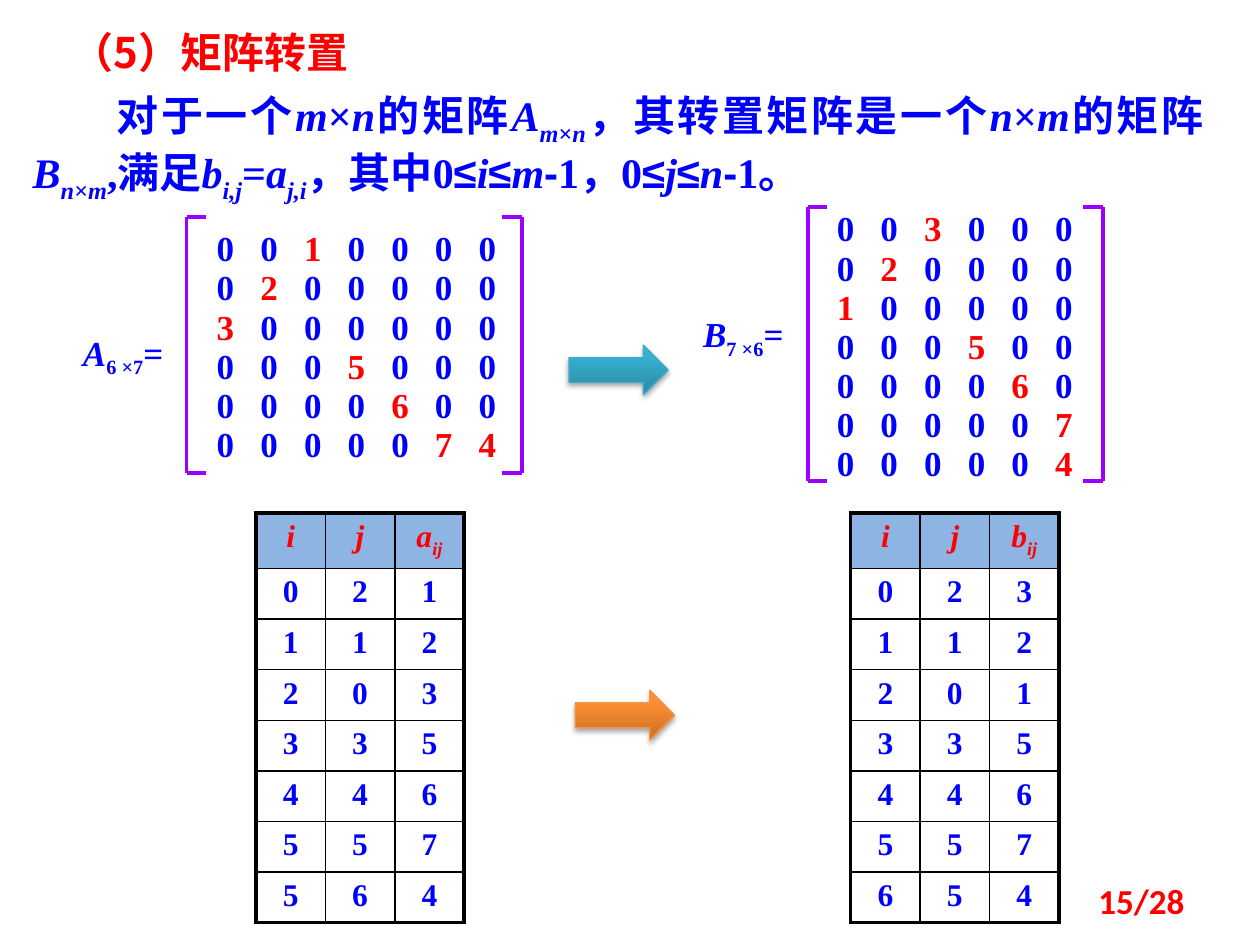
from lxml.etree import SubElement
from pptx import Presentation
from pptx.dml.color import RGBColor
from pptx.enum.shapes import MSO_CONNECTOR, MSO_SHAPE
from pptx.enum.text import MSO_ANCHOR, PP_ALIGN
from pptx.oxml.ns import qn
from pptx.util import Cm, Pt

COLORS = {"blue": "0000FF", "red": "FF0000", "purple": "9900FF", "black": "000000",
          "header": "8EB4E3"}
SERIF, CJK = "Times New Roman", "Noto Sans CJK SC"


def add_box(x, y, w, h, margins=True):
    """Add a wrapping text box and return its text frame."""
    tf = s.shapes.add_textbox(Cm(x), Cm(y), Cm(w), Cm(h)).text_frame
    tf.word_wrap = True
    if not margins:
        tf.margin_left = tf.margin_right = tf.margin_top = tf.margin_bottom = 0
    return tf


def write(p, runs, size, color="blue", font=SERIF, align=PP_ALIGN.LEFT):
    """Fill p with (text, style) runs: i italic, s subscript, a Arial, r red."""
    p.alignment = align
    p.font.size, p.font.bold, p.font.name = Pt(size), True, font
    p.font.color.rgb = RGBColor.from_string(COLORS[color])
    SubElement(p._p.pPr.find(qn("a:defRPr")), qn("a:ea"), typeface=CJK)
    for text, style in runs:
        r = p.add_run()
        r.text = text
        if "i" in style:
            r.font.italic = True
        if "a" in style:
            r.font.name = "Arial"
        if "r" in style:
            r.font.color.rgb = RGBColor.from_string(COLORS["red"])
        if "s" in style:
            r._r.get_or_add_rPr().set("baseline", "-25000")


prs = Presentation()
prs.slide_width, prs.slide_height = Cm(25.4), Cm(19.05)
s = prs.slides.add_slide(prs.slide_layouts[6])

# Title
p = add_box(0.99, 0.41, 7.01, 1.27).paragraphs[0]
write(p, [("（5）矩阵转置", "")], 24, "red", CJK, PP_ALIGN.JUSTIFY)
p._p.pPr.set("indent", str(Cm(0.2)))

# Definition
definition = [
    ("对于一个", ""), ("m", "i"), ("×", ""), ("n", "i"), ("的矩阵", ""),
    ("A", "i"), ("m", "is"), ("×", "s"), ("n", "is"), ("，其转置矩阵是一个", ""),
    ("n", "i"), ("×", ""), ("m", "i"), ("的矩阵", ""),
    ("B", "i"), ("n", "is"), ("×", "s"), ("m", "is"), (",满足", ""),
    ("b", "i"), ("i,j", "is"), ("=", ""), ("a", "i"), ("j,i", "is"),
    ("，其中0", ""), ("≤", "a"), ("i", "i"), ("≤", "a"), ("m", "i"), ("-", "a"),
    ("1，0", ""), ("≤", "a"), ("j", "i"), ("≤", "a"), ("n", "i"), ("-", "a"), ("1。", ""),
]
p = add_box(0.41, 1.68, 24.1, 2.31).paragraphs[0]
write(p, definition, 24, align=PP_ALIGN.JUSTIFY)
p._p.pPr.set("indent", str(Pt(48)))

# Matrices: name, size, values, label position, first row position, bracket edges
matrix_a = [
    [0, 0, 1, 0, 0, 0, 0],
    [0, 2, 0, 0, 0, 0, 0],
    [3, 0, 0, 0, 0, 0, 0],
    [0, 0, 0, 5, 0, 0, 0],
    [0, 0, 0, 0, 6, 0, 0],
    [0, 0, 0, 0, 0, 7, 4],
]
matrix_b = list(zip(*matrix_a))
COL_STEP, ROW_STEP, TICK = 0.88, 0.79, 0.4
matrices = [
    ("A", "6 ×7", matrix_a, (1.19, 6.55), (4.37, 4.57), (3.76, 4.37, 10.52, 9.53)),
    ("B", "7 ×6", matrix_b, (13.69, 6.17), (16.87, 4.17), (16.28, 4.17, 22.23, 9.7)),
]
for name, size, values, label, (x, y), (left, top, right, bottom) in matrices:
    p = add_box(*label, 2.59, 1.12).paragraphs[0]
    write(p, [(name, "i"), (size, "s"), ("=", "")], 20, align=PP_ALIGN.CENTER)

    for i, row in enumerate(values):
        p = add_box(x, y + i * ROW_STEP, len(row) * COL_STEP, 0.86, False).paragraphs[0]
        tabs = SubElement(p._p.get_or_add_pPr(), qn("a:tabLst"))
        for j in range(1, len(row)):
            SubElement(tabs, qn("a:tab"), pos=str(Cm(j * COL_STEP)), algn="l")
        write(p, [(("\t" if j else "") + str(v), "r" if v else "")
                  for j, v in enumerate(row)], 20)

    # Brackets
    for edge, inner in ((left, left + TICK), (right, right - TICK)):
        for x1, y1, x2, y2 in ((edge, top, edge, bottom), (edge, top, inner, top),
                               (edge, bottom, inner, bottom)):
            line = s.shapes.add_connector(MSO_CONNECTOR.STRAIGHT,
                                          Cm(x1), Cm(y1), Cm(x2), Cm(y2))
            line.line.color.rgb = RGBColor.from_string(COLORS["purple"])
            line.line.width = Pt(2.25)
            SubElement(line._element.spPr, qn("a:effectLst"))

# Triple tables, one row for each nonzero value
for x, name, values in ((5.16, "a", matrix_a), (17.15, "b", matrix_b)):
    triples = [(i, j, v) for i, row in enumerate(values) for j, v in enumerate(row) if v]
    rows = [[[("i", "i")], [("j", "i")], [(name, "i"), ("ij", "is")]]]
    rows += [[[(str(v), "")] for v in triple] for triple in triples]
    last = len(rows) - 1
    table = s.shapes.add_table(len(rows), 3, Cm(x), Cm(10.34), Cm(4.2), Cm(8.25)).table
    table.horz_banding = False
    for col in table.columns:
        col.width = Cm(1.4)
    for i, row in enumerate(rows):
        table.rows[i].height = Cm(1.02 if i else 1.11)
        for j, runs in enumerate(row):
            cell = table.cell(i, j)
            write(cell.text_frame.paragraphs[0], runs, 18, "blue" if i else "red",
                  align=PP_ALIGN.CENTER)
            tcPr = cell._tc.get_or_add_tcPr()
            outer = {"L": j == 0, "R": j == 2, "T": i == 0, "B": i == last}
            for side, thick in outer.items():
                ln = SubElement(tcPr, qn("a:ln" + side), w=str(Pt(2.25 if thick else 1)))
                SubElement(SubElement(ln, qn("a:solidFill")), qn("a:srgbClr"),
                           val=COLORS["black"])
            if i:
                cell.fill.background()
            else:
                cell.fill.solid()
                cell.fill.fore_color.rgb = RGBColor.from_string(COLORS["header"])

# Arrows
for x, y, dark, light, edge in ((11.47, 6.96, "2A88A2", "37B1D2", "46AAC5"),
                                (11.6, 13.92, "CC6E20", "FF9034", "F69240")):
    arrow = s.shapes.add_shape(MSO_SHAPE.RIGHT_ARROW, Cm(x), Cm(y), Cm(2), Cm(1))
    arrow.fill.gradient()
    arrow.fill.gradient_angle = 90
    for stop, color, pos in zip(arrow.fill.gradient_stops, (dark, light), (0, 0.8)):
        stop.color.rgb = RGBColor.from_string(color)
        stop.position = pos
    arrow.line.color.rgb = RGBColor.from_string(edge)
    arrow.line.width = Pt(0.75)
    arrow.shadow.inherit = False
    shadow = SubElement(arrow._element.spPr.find(qn("a:effectLst")), qn("a:outerShdw"),
                        blurRad=str(Pt(3.1)), dist=str(Pt(1.8)), dir="5400000",
                        rotWithShape="0")
    shade = SubElement(shadow, qn("a:srgbClr"), val=COLORS["black"])
    SubElement(shade, qn("a:alpha"), val="35000")

# Page number
tf = add_box(18.21, 17.65, 5.92, 1.02)
tf.vertical_anchor = MSO_ANCHOR.MIDDLE
write(tf.paragraphs[0], [("15/28", "")], 20, "red", "Calibri", PP_ALIGN.RIGHT)

prs.save("out.pptx")
